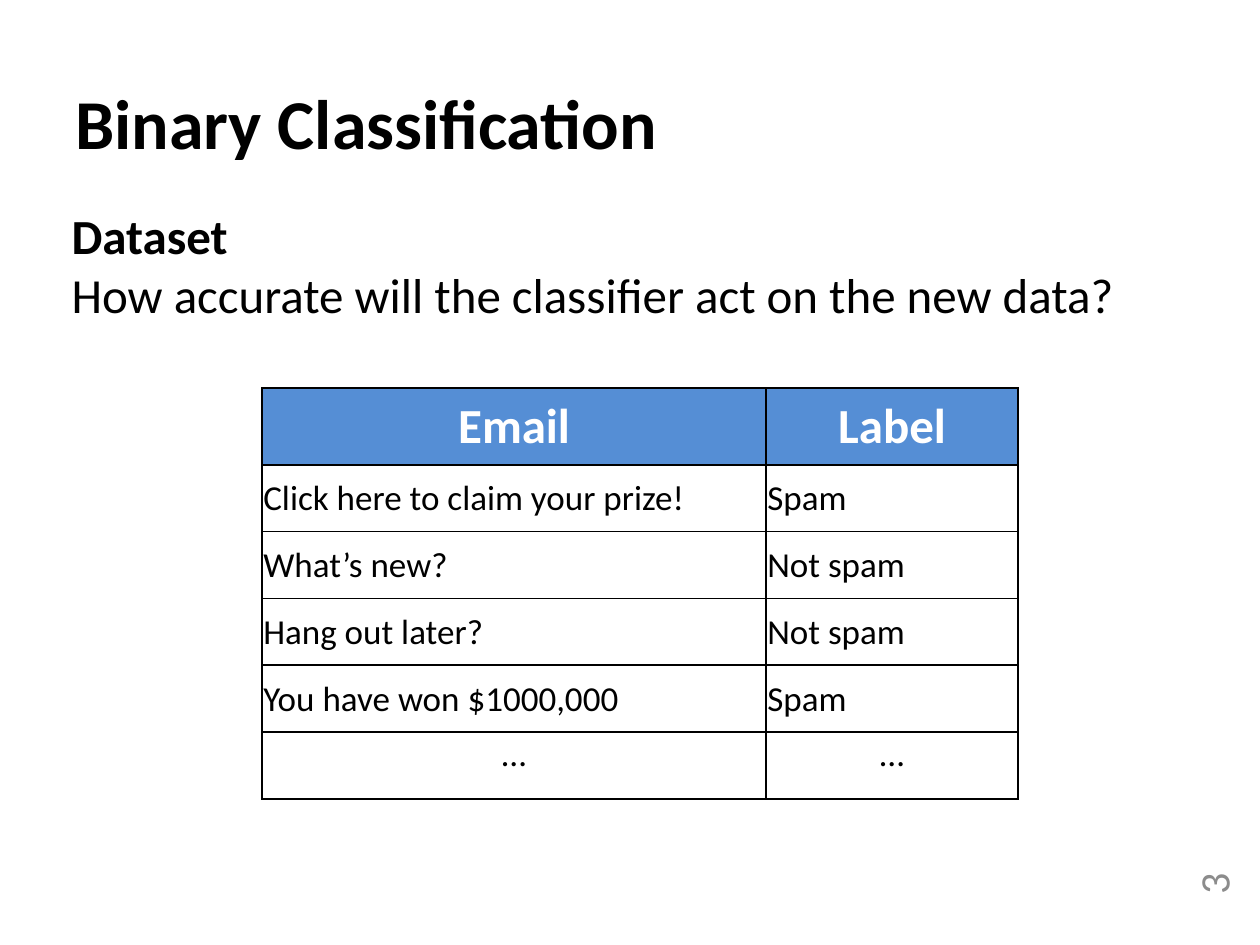
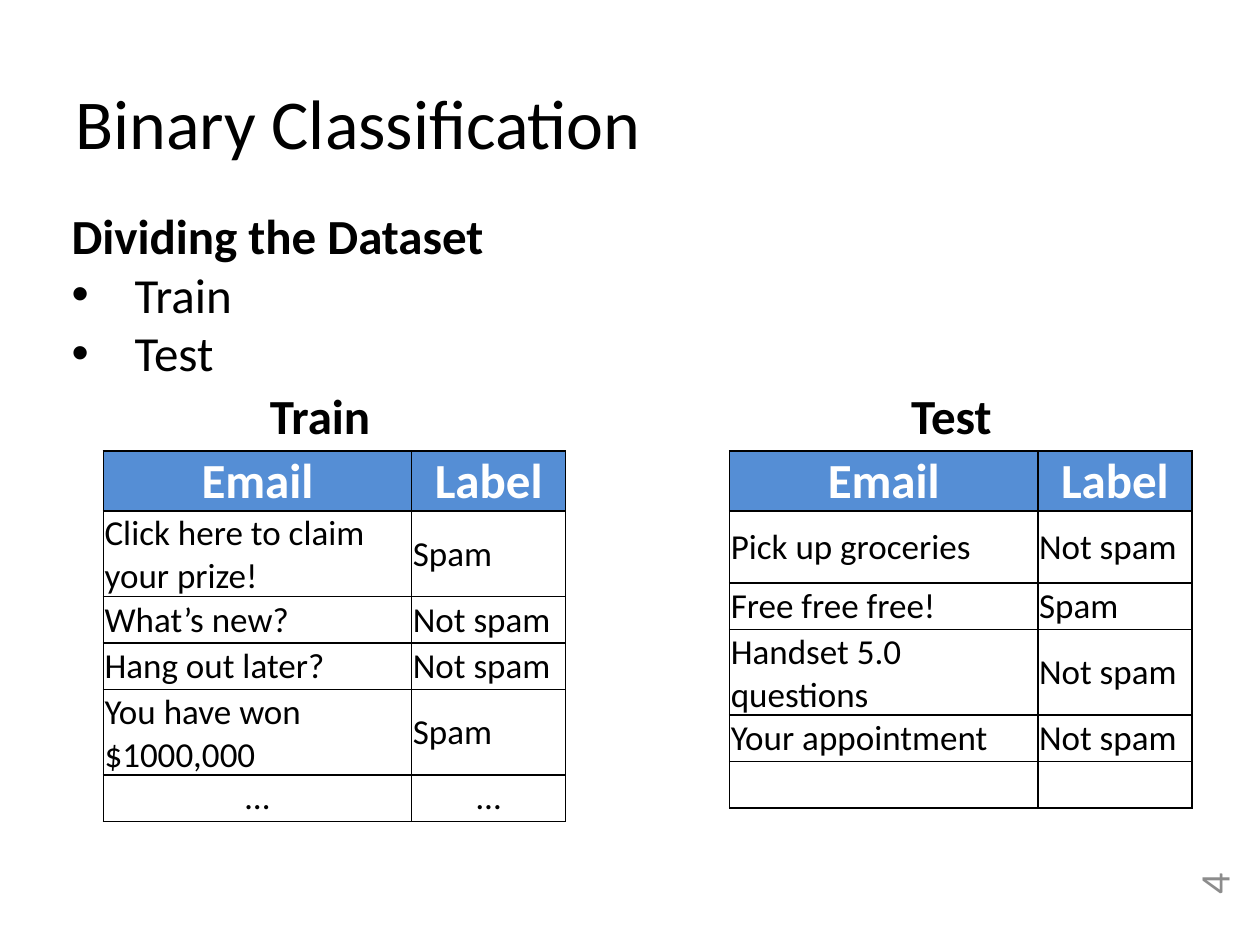
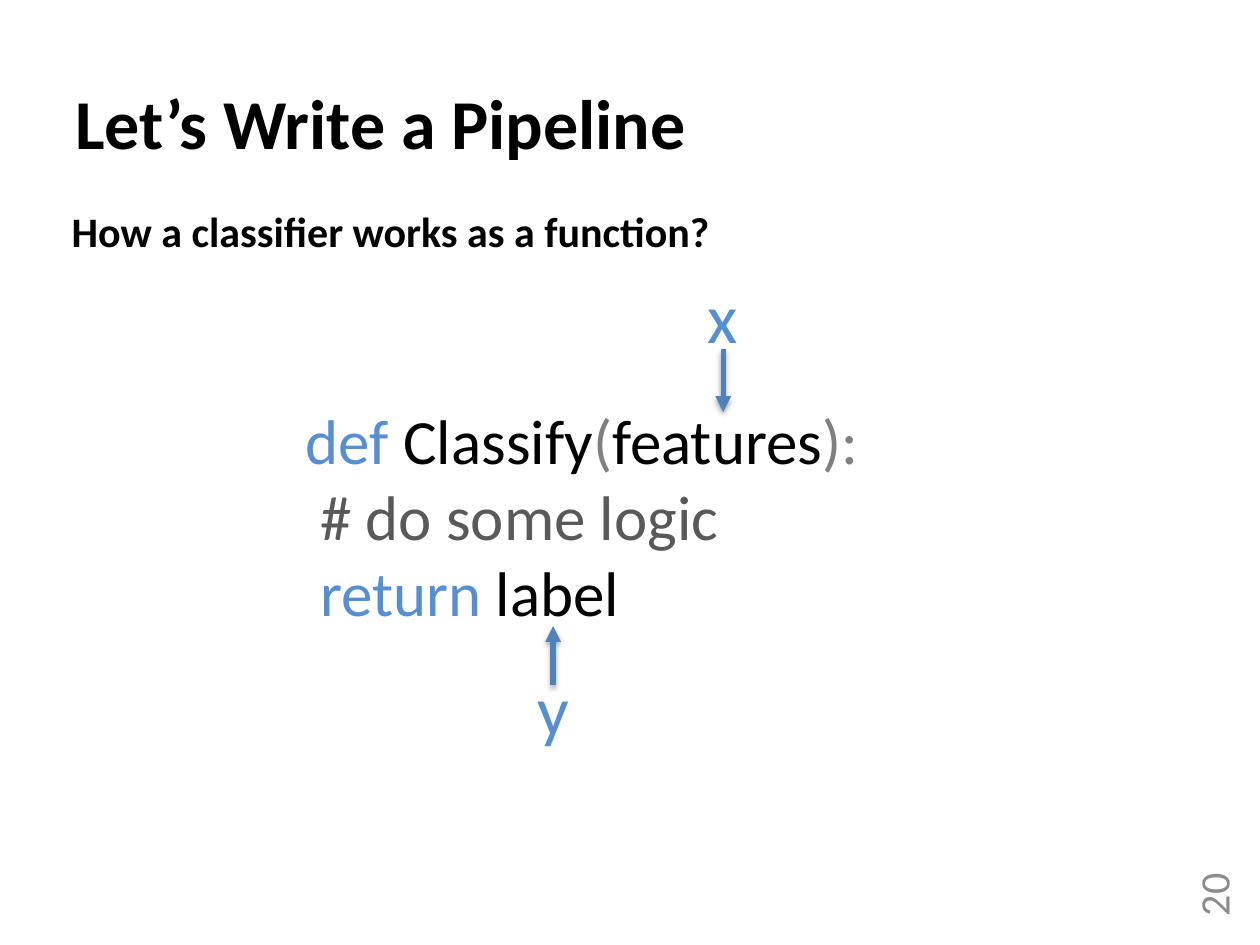
import dataclasses

import lxml.etree
import pptx
import pptx.dml.color
import pptx.enum.shapes
import pptx.enum.text
import pptx.oxml
import pptx.oxml.ns
import pptx.util

Align = pptx.enum.text.PP_ALIGN
Anchor = pptx.enum.text.MSO_ANCHOR
Fit = pptx.enum.text.MSO_AUTO_SIZE


@dataclasses.dataclass(frozen=True)
class Theme:
    font: str = "Calibri"
    ink: str = "000000"
    paper: str = "FFFFFF"
    blue: str = "558ED5"
    arrow: str = "4F81BD"
    page: str = "8C8C8C"
    mark: str = "808080"
    note: str = "595959"
    title: int = 40
    code: int = 36
    body: int = 28
    small: int = 24
    cell: int = 20
    rule: int = 1
    stroke: int = 3


@dataclasses.dataclass
class Line:
    bits: list
    bold: bool = False
    dot: bool = False


def node(host, tag, **marks):
    return lxml.etree.SubElement(host, pptx.oxml.ns.qn(tag), {k: str(v) for k, v in marks.items()})


class Deck:
    cols, rows = 20, 15

    def __init__(self, theme):
        self.theme = theme
        self.show = pptx.Presentation()
        self.show.slide_width = pptx.util.Inches(10)
        self.show.slide_height = pptx.util.Inches(7.5)
        self.slide = None

    def across(self, count):
        return round(self.show.slide_width * count / self.cols)

    def down(self, count):
        return round(self.show.slide_height * count / self.rows)

    def place(self, left, top, width, height):
        return self.across(left), self.down(top), self.across(width), self.down(height)

    def style(self, run, size, color, bold=False):
        run.font.name = self.theme.font
        run.font.size = pptx.util.Pt(size)
        run.font.bold = bold
        run.font.color.rgb = pptx.dml.color.RGBColor.from_string(color)

    def text(self, area, lines, size, align=Align.LEFT, wrap=True, host=None):
        box = (host or self.slide).shapes.add_textbox(*self.place(*area))
        frame = box.text_frame
        frame.word_wrap = wrap
        frame.auto_size = Fit.SHAPE_TO_FIT_TEXT
        for at, line in enumerate(lines):
            para = frame.add_paragraph() if at else frame.paragraphs[0]
            para.alignment = align
            para.text = line.bits[0][0]
            for words, color in line.bits[1:]:
                para.add_run().text = words
            for run, (words, color) in zip(para.runs, line.bits):
                self.style(run, size, color, line.bold)
            if line.dot:
                self.bullet(para)
        return box

    def plain(self, words, bold=False, dot=False):
        return Line([(words, self.theme.ink)], bold, dot)

    def bullet(self, para):
        props = para._p.get_or_add_pPr()
        props.set("marL", str(self.across(1)))
        props.set("indent", str(-self.across(1)))
        node(props, "a:buFont", typeface="Arial")
        node(props, "a:buChar", char="•")

    def page(self, title, number, bold=True):
        self.slide = self.show.slides.add_slide(self.show.slide_layouts[6])
        self.text((1, 1.16, 18.16, 1.54), [self.plain(title, bold)], self.theme.title)
        label = Line([(number, self.theme.page)])
        box = self.text((18.58, 13.92, 1.34, 0.84), [label], self.theme.small, Align.RIGHT)
        box.text_frame.auto_size = Fit.NONE
        box.text_frame.vertical_anchor = Anchor.MIDDLE
        box.rotation = 270

    def body(self, lines, size):
        self.text((0.94, 3.16, 18.16, 1.04 * len(lines)), lines, size)

    def heading(self, left, words):
        area = left, 6.02, 4.56, 1.14
        self.text(area, [self.plain(words, True)], self.theme.body, Align.CENTER)

    def table(self, left, top, width, steps, data):
        area = self.place(left, top, width, sum(steps))
        grid = self.slide.shapes.add_table(len(data), 2, *area).table
        grid.horz_banding = False
        for col, share in zip(grid.columns, (2, 1)):
            col.width = self.across(width * share / 3)
        for row, step in zip(grid.rows, steps):
            row.height = self.down(step)
        for y, pair in enumerate(data):
            for x, words in enumerate(pair):
                self.cell(grid.cell(y, x), words, y == 0)

    def cell(self, cell, words, head):
        theme = self.theme
        thin = pptx.util.Inches(0.01)
        cell.margin_left = cell.margin_right = cell.margin_top = thin
        cell.margin_bottom = 0
        more = words == "…"
        cell.vertical_anchor = Anchor.TOP if more else Anchor.MIDDLE
        self.border(cell)
        if head:
            cell.fill.solid()
            cell.fill.fore_color.rgb = pptx.dml.color.RGBColor.from_string(theme.blue)
        else:
            cell.fill.background()
        cell.text_frame.text = words
        para = cell.text_frame.paragraphs[0]
        para.alignment = Align.CENTER if head or more else Align.LEFT
        look = (theme.body, theme.paper, True) if head else (theme.cell, theme.ink)
        for run in para.runs:
            self.style(run, *look)

    def border(self, cell):
        props = cell._tc.get_or_add_tcPr()
        for side in "LRTB":
            edge = node(props, "a:ln" + side, w=pptx.util.Pt(self.theme.rule))
            node(node(edge, "a:solidFill"), "a:srgbClr", val=self.theme.ink)

    def arrow(self, host, x, start, end):
        kind = pptx.enum.shapes.MSO_CONNECTOR.STRAIGHT
        x = self.across(x)
        link = host.shapes.add_connector(kind, x, self.down(start), x, self.down(end))
        link.line.width = pptx.util.Pt(self.theme.stroke)
        link.line.color.rgb = pptx.dml.color.RGBColor.from_string(self.theme.arrow)
        props = link._element.spPr
        node(props.find(pptx.oxml.ns.qn("a:ln")), "a:tailEnd", type="triangle")
        shade = node(node(props, "a:effectLst"), "a:outerShdw",
                     blurRad=pptx.util.Pt(3.1), dist=pptx.util.Pt(1.8),
                     dir=90 * 60000, rotWithShape=0)
        node(node(shade, "a:srgbClr", val=self.theme.ink), "a:alpha", val=35000)

    def point(self, name, area, align, x, start, end):
        group = self.slide.shapes.add_group_shape()
        label = Line([(name, self.theme.blue)])
        self.text(area, [label], self.theme.title, align, False, group)
        self.arrow(group, x, start, end)


HEAD = ("Email", "Label")
TRAIN = [
    HEAD,
    ("Click here to claim your prize!", "Spam"),
    ("What’s new?", "Not spam"),
    ("Hang out later?", "Not spam"),
    ("You have won $1000,000", "Spam"),
    ("…", "…"),
]
TEST = [
    HEAD,
    ("Pick up groceries", "Not spam"),
    ("Free free free!", "Spam"),
    ("Handset 5.0 questions", "Not spam"),
    ("Your appointment", "Not spam"),
    ("", ""),
]


def main():
    theme = Theme()
    deck = Deck(theme)

    deck.page("Binary Classification", "3")
    deck.body([
        deck.plain("Dataset", True),
        deck.plain("How accurate will the classifier act on the new data?"),
    ], theme.body)
    deck.table(4.16, 6.16, 12, [1.22] + [1.06] * 5, TRAIN)

    deck.page("Binary Classification", "4", False)
    deck.body([
        deck.plain("Dividing the Dataset", True),
        deck.plain("Train", dot=True),
        deck.plain("Test", dot=True),
    ], theme.body)
    steps = [0.88, 1.14] + [0.74] * 4
    for name, spot, left, data in (("Train", 2.8, 1.64, TRAIN), ("Test", 12.82, 11.58, TEST)):
        deck.heading(spot, name)
        deck.table(left, 7.16, 7.34, steps, data)

    deck.page("Let’s Write a Pipeline", "20")
    deck.body([deck.plain("How a classifier works as a function?", True)], theme.small)
    code = [
        Line([("def", theme.blue), (" Classify", theme.ink), ("(", theme.mark),
              ("features", theme.ink), ("):", theme.mark)]),
        Line([(" # do some logic", theme.note)]),
        Line([(" return ", theme.blue), ("label", theme.ink)]),
    ]
    deck.text((4.66, 6.28, 10, 3.84), code, theme.code)
    deck.point("x", (11.02, 4.24, 0.9, 1.54), Align.CENTER, 11.48, 5.54, 6.54)
    deck.point("y", (8.34, 10.46, 0.92, 1.54), Align.LEFT, 8.78, 10.88, 9.94)

    deck.show.save("out.pptx")


if __name__ == "__main__":
    main()
